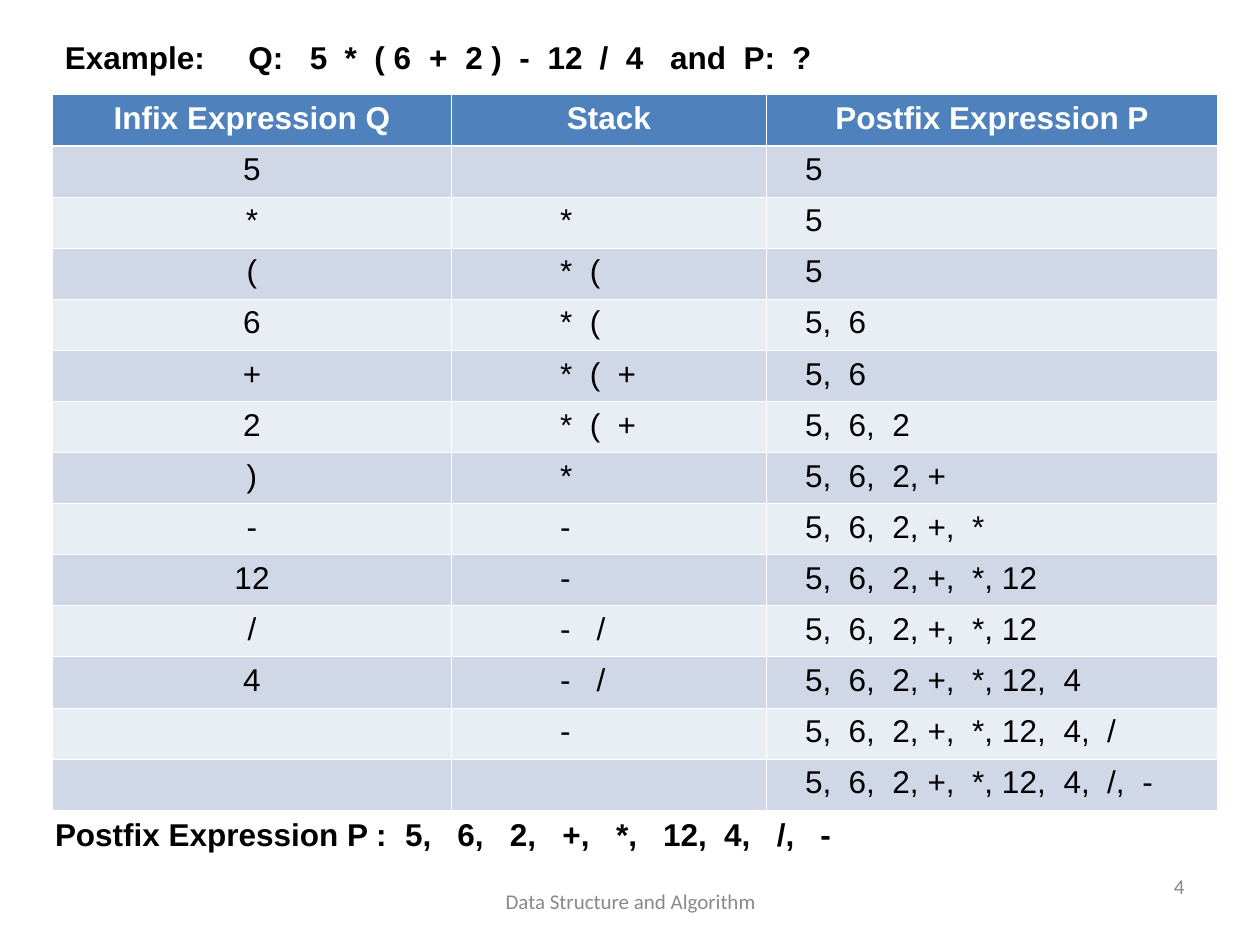
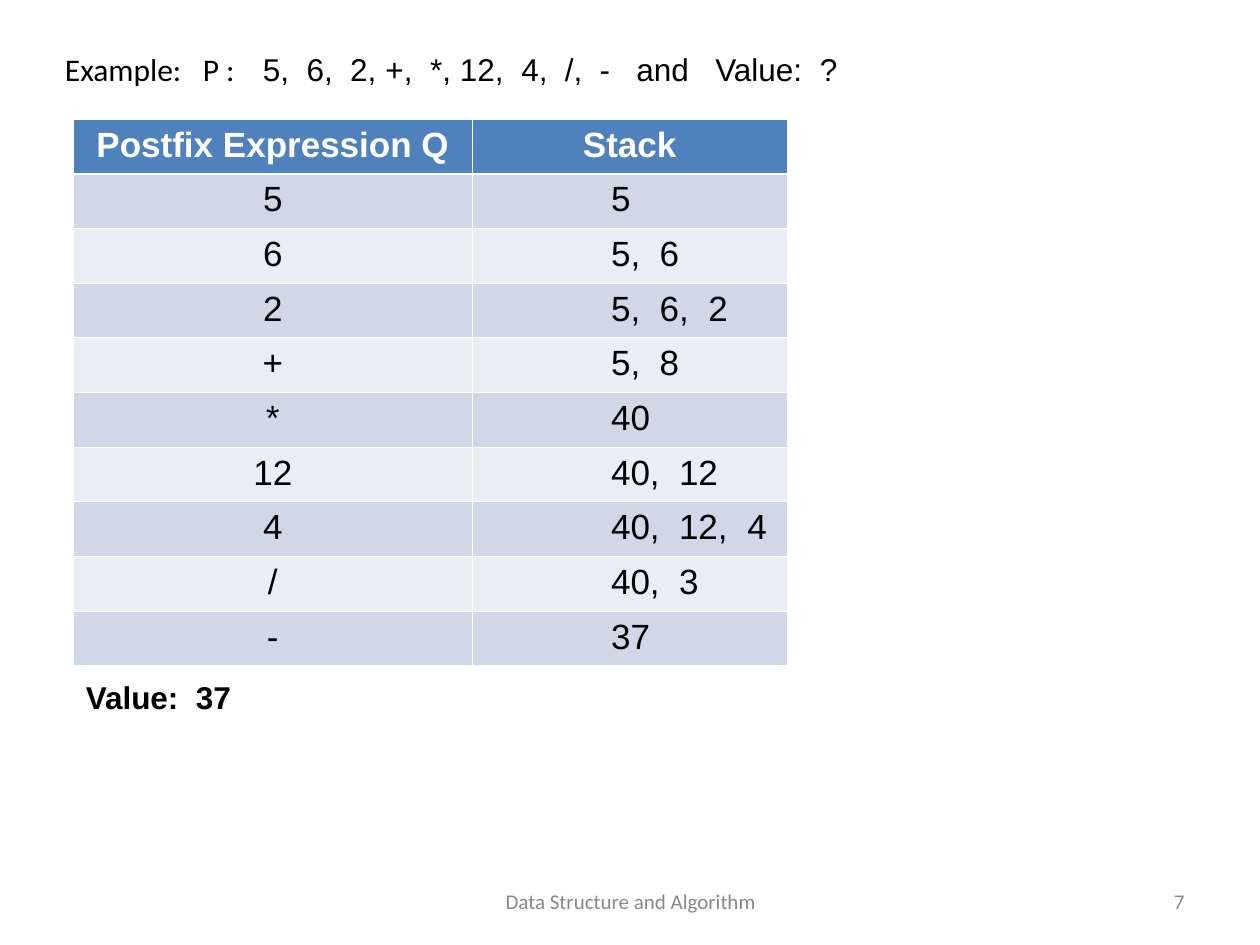
from dataclasses import dataclass

from lxml.etree import SubElement
from pptx import Presentation
from pptx.dml.color import RGBColor
from pptx.enum.text import MSO_ANCHOR, PP_ALIGN
from pptx.oxml.ns import qn
from pptx.util import Cm, Pt


@dataclass(frozen=True)
class Theme:
    """Colours, fonts and sizes shared by the slides."""
    header: str = "4F81BD"
    bands: tuple = ("D0D8E8", "E9EDF4")
    white: str = "FFFFFF"
    black: str = "000000"
    muted: str = "898989"
    body_font: str = "Arial"
    plain_font: str = "Calibri"
    body_size: int = 18
    large_size: int = 20
    footer_size: int = 12
    thin_border: float = 0.45
    thick_border: float = 1.47
    line_height: float = 1.02


THEME = Theme()

QUESTION_INFIX = {
    "Example:": 0, "Q:": 3.7, "5": 4.94, "*": 5.64, "( 6": 6.24, "+": 7.34,
    "2 )": 8.07, "-": 9.16, "12": 9.73, "/": 10.78, "4": 11.31,
    "and": 12.2, "P:": 13.68, "?": 14.66,
}
ANSWER_POSTFIX = {
    "Postfix Expression P :": 0, "5,": 7.06, "6,": 8.11, "2,": 9.17, "+,": 10.23,
    "*,": 11.31, "12,": 12.26, "4,": 13.49, "/,": 14.55, "-": 15.43,
}
QUESTION_POSTFIX = {
    "Example:": 0, "P :": 2.78, "5,": 3.99, "6,": 4.87, "2,": 5.75, "+,": 6.46,
    "*,": 7.36, "12,": 7.96, "4,": 9.2, "/,": 10.08, "-": 10.78,
    "and": 11.52, "Value:": 13.11, "?": 15.22,
}
ANSWER_VALUE = {"Value:": 0, "37": 2.22}

INFIX_STEPS = (
    ("5", "", "5"),
    ("*", "*", "5"),
    ("(", "* (", "5"),
    ("6", "* (", "5 6"),
    ("+", "* ( +", "5 6"),
    ("2", "* ( +", "5 6 2"),
    (")", "*", "5 6 2 +"),
    ("-", "-", "5 6 2 + *"),
    ("12", "-", "5 6 2 + * 12"),
    ("/", "- /", "5 6 2 + * 12"),
    ("4", "- /", "5 6 2 + * 12 4"),
    ("", "-", "5 6 2 + * 12 4 /"),
    ("", "", "5 6 2 + * 12 4 / -"),
)
POSTFIX_STEPS = (
    ("5", "5"), ("6", "5 6"), ("2", "5 6 2"), ("+", "5 8"), ("*", "40"),
    ("12", "40 12"), ("4", "40 12 4"), ("/", "40 3"), ("-", "37"),
)


@dataclass(frozen=True)
class Column:
    """A table column; stops maps each later token to its tab position."""
    title: str
    width: float
    margin: float = 0.25
    separator: str = ""
    stops: dict | None = None


INFIX_COLUMNS = (
    Column("Infix Expression Q", 8.04),
    Column("Stack", 6.35, 2.19, "", {"(": 0.6, "+": 1.16, "/": 0.74}),
    Column("Postfix Expression P", 9.1, 0.78, ",", {
        "6": 0.88, "2": 1.76, "+": 2.47, "*": 3.37, "12": 3.97,
        "4": 5.21, "/": 6.09, "-": 6.8}),
)
POSTFIX_COLUMNS = (
    Column("Postfix Expression Q", 8.04),
    Column("Stack", 6.35, 2.8, ",", {
        "6": 0.98, "8": 0.98, "2": 1.96, "12": 1.37, "3": 1.37, "4": 2.75}),
)


def add_run(paragraph, text, color=THEME.black, **formats):
    """Add a run in the body style, changed by the given font values."""
    run = paragraph.add_run()
    run.text = text
    values = {"name": THEME.body_font, "size": Pt(THEME.body_size), "bold": False}
    for name, value in (values | formats).items():
        setattr(run.font, name, value)
    run.font.color.rgb = RGBColor.from_string(color)


def set_tabs(paragraph, positions):
    """Give the paragraph left tab stops at positions in centimetres."""
    tab_list = SubElement(paragraph._p.get_or_add_pPr(), qn("a:tabLst"))
    for position in positions:
        SubElement(tab_list, qn("a:tab"), pos=str(Cm(position)), algn="l")


def add_text_box(slide, left, top, width, height=THEME.line_height, **formats):
    """Add a wrapping text box and return its first paragraph."""
    text_frame = slide.shapes.add_textbox(
        Cm(left), Cm(top), Cm(width), Cm(height)).text_frame
    for name, value in ({"word_wrap": True} | formats).items():
        setattr(text_frame, name, value)
    return text_frame.paragraphs[0]


def add_tabbed_line(slide, left, top, width, tokens, bold=True, plain_count=0):
    """Add a line of tokens at tab stops; the first plain_count use the plain font."""
    paragraph = add_text_box(slide, left, top, width)
    set_tabs(paragraph, list(tokens.values())[1:])
    for index, token in enumerate(tokens):
        font = THEME.plain_font if index < plain_count else THEME.body_font
        add_run(paragraph, "\t" * (index > 0) + token, name=font, bold=bold)


def add_footer(slide, number, number_top=17.65):
    """Add the course name and the slide number."""
    for text, left, top, width, alignment in (
            ("Data Structure and Algorithm", 8.69, 17.65, 8.05, PP_ALIGN.CENTER),
            (str(number), 18.21, number_top, 5.92, PP_ALIGN.RIGHT)):
        paragraph = add_text_box(
            slide, left, top, width, vertical_anchor=MSO_ANCHOR.MIDDLE)
        paragraph.alignment = alignment
        add_run(paragraph, text, THEME.muted,
                name=THEME.plain_font, size=Pt(THEME.footer_size))


def style_cell(cell, color, row_index):
    """Fill the cell and draw its white borders, thick under the header row."""
    thick_side = {0: "lnB", 1: "lnT"}.get(row_index)
    properties = cell._tc.get_or_add_tcPr()
    for side in ("lnL", "lnR", "lnT", "lnB"):
        points = THEME.thick_border if side == thick_side else THEME.thin_border
        line = SubElement(properties, qn(f"a:{side}"), w=str(Pt(points)))
        line_fill = SubElement(line, qn("a:solidFill"))
        SubElement(line_fill, qn("a:srgbClr"), val=THEME.white)
    cell.fill.solid()
    cell.fill.fore_color.rgb = RGBColor.from_string(color)


def write_step(cell, column, text, size):
    """Write one body cell, centred or as tokens at tab stops."""
    paragraph = cell.text_frame.paragraphs[0]
    tokens = text.split()
    if column.stops is None:
        paragraph.alignment = PP_ALIGN.CENTER
    else:
        cell.margin_left = Cm(column.margin)
        set_tabs(paragraph, [column.stops[token] for token in tokens[1:]])
    if tokens:
        add_run(paragraph, f"{column.separator}\t".join(tokens), size=Pt(size))


def add_steps_table(slide, left, top, row_height, columns, steps, size):
    """Add a banded table that traces the algorithm step by step."""
    row_count = len(steps) + 1
    width = sum(column.width for column in columns)
    table = slide.shapes.add_table(
        row_count, len(columns), Cm(left), Cm(top),
        Cm(width), Cm(row_height * row_count)).table
    table.horz_banding = False
    for row in table.rows:
        row.height = Cm(row_height)
    for column_index, column in enumerate(columns):
        table.columns[column_index].width = Cm(column.width)
        header = table.cell(0, column_index)
        style_cell(header, THEME.header, 0)
        paragraph = header.text_frame.paragraphs[0]
        paragraph.alignment = PP_ALIGN.CENTER
        add_run(paragraph, column.title, THEME.white, size=Pt(size), bold=True)
        for row_index, step in enumerate(steps, 1):
            cell = table.cell(row_index, column_index)
            style_cell(cell, THEME.bands[(row_index - 1) % 2], row_index)
            write_step(cell, column, step[column_index], size)


def add_conversion_slide(presentation):
    """Trace the conversion from infix to postfix."""
    slide = presentation.slides.add_slide(presentation.slide_layouts[6])
    add_footer(slide, 4, number_top=17.35)
    add_tabbed_line(slide, 1.06, 0.64, 23.06, QUESTION_INFIX)
    add_steps_table(slide, 1.06, 1.91, 1.03, INFIX_COLUMNS, INFIX_STEPS,
                    THEME.body_size)
    add_tabbed_line(slide, 0.86, 16.31, 17.58, ANSWER_POSTFIX)


def add_evaluation_slide(presentation):
    """Trace the evaluation of the postfix expression."""
    slide = presentation.slides.add_slide(presentation.slide_layouts[6])
    add_footer(slide, 7)
    add_tabbed_line(slide, 1.06, 0.89, 23.29, QUESTION_POSTFIX,
                    bold=False, plain_count=2)
    add_steps_table(slide, 1.48, 2.4, 1.1, POSTFIX_COLUMNS, POSTFIX_STEPS,
                    THEME.large_size)
    add_tabbed_line(slide, 1.48, 13.54, 14.6, ANSWER_VALUE)


def main():
    """Build and save the presentation."""
    presentation = Presentation()
    presentation.slide_width = Cm(25.4)
    presentation.slide_height = Cm(19.05)
    add_conversion_slide(presentation)
    add_evaluation_slide(presentation)
    presentation.save("out.pptx")


if __name__ == "__main__":
    main()
